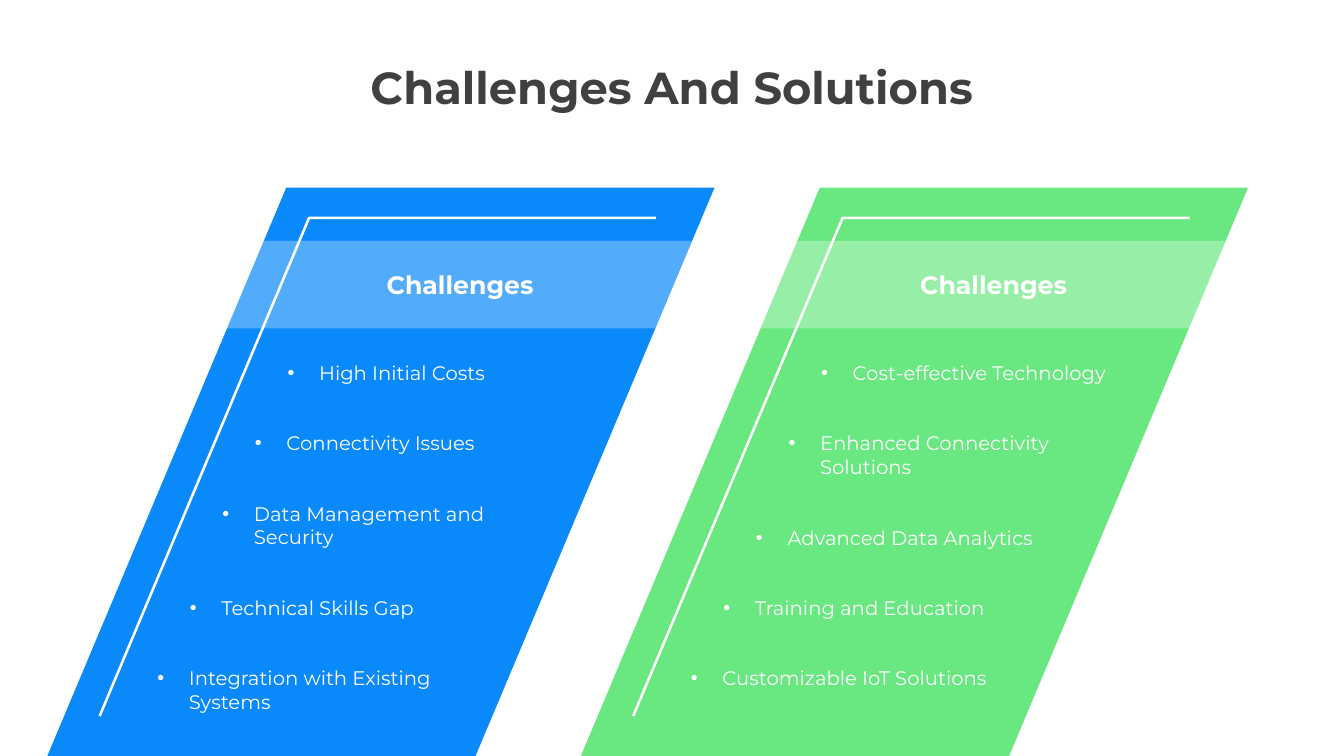
import dataclasses

import pptx
import pptx.dml.color
import pptx.enum.text
import pptx.oxml.ns
import pptx.util
from lxml import etree

Pt = pptx.util.Pt
ALIGN = pptx.enum.text.PP_ALIGN
ANCHOR = pptx.enum.text.MSO_ANCHOR


@dataclasses.dataclass(frozen=True)
class Theme:
    font: str = "Montserrat"
    title_size: float = 32
    heading_size: float = 18
    item_size: float = 14
    dark: str = "404040"
    light: str = "FFFFFF"
    blue: str = "0989FA"
    green: str = "69E781"
    band_opacity: int = 30
    outline_width: float = 1.8


THEME = Theme()
SLIDE_WIDTH, SLIDE_HEIGHT = 960, 540
PANEL_TOP, PANEL_WIDTH = 134, 476.6
LEAN = 170.7
LINE_HEIGHT, BOX_PADDING = 17.07, 7.2
ITEM_GAP, ITEM_STEP = 26, 23.25
BULLET_INDENT = 22.5

# Each item is its text and the number of lines it takes.
PANELS = [
    (33.8, THEME.blue, "Challenges", [
        ("High Initial Costs", 1),
        ("Connectivity Issues", 1),
        ("Data Management and Security", 2),
        ("Technical Skills Gap", 1),
        ("Integration with Existing Systems", 2),
    ]),
    (414.9, THEME.green, "Challenges", [
        ("Cost-effective Technology", 1),
        ("Enhanced Connectivity Solutions", 2),
        ("Advanced Data Analytics", 1),
        ("Training and Education", 1),
        ("Customizable IoT Solutions", 1),
    ]),
]


def rgb(color):
    return pptx.dml.color.RGBColor.from_string(color)


def add_bullet(paragraph):
    properties = paragraph._p.get_or_add_pPr()
    properties.set("marL", str(Pt(BULLET_INDENT)))
    properties.set("indent", str(-Pt(BULLET_INDENT)))
    font = etree.SubElement(properties, pptx.oxml.ns.qn("a:buFont"))
    font.set("typeface", "Arial")
    bullet = etree.SubElement(properties, pptx.oxml.ns.qn("a:buChar"))
    bullet.set("char", "•")


def write_text(shape, text, size, color, bold=False, align=ALIGN.LEFT,
               anchor=ANCHOR.TOP, bullet=False):
    frame = shape.text_frame
    frame.word_wrap = True
    frame.auto_size = pptx.enum.text.MSO_AUTO_SIZE.SHAPE_TO_FIT_TEXT
    frame.vertical_anchor = anchor
    paragraph = frame.paragraphs[0]
    paragraph.text = text
    paragraph.alignment = align
    paragraph.line_spacing = 1.0
    paragraph.space_before = Pt(0)
    if bullet:
        add_bullet(paragraph)
    font = paragraph.font
    font.name, font.size, font.bold = THEME.font, Pt(size), bold
    font.color.rgb = rgb(color)


def add_text(slide, left, top, width, height, text, **text_format):
    box = slide.shapes.add_textbox(Pt(left), Pt(top), Pt(width), Pt(height))
    write_text(box, text, **text_format)


def add_outline(slide, points, closed=True):
    corners = [(Pt(x), Pt(y)) for x, y in points]
    builder = slide.shapes.build_freeform(*corners[0])
    builder.add_line_segments(corners[1:], close=closed)
    shape = builder.convert_to_shape()
    shape.shadow.inherit = False
    return shape


def add_filled(slide, points, color, opacity=100):
    shape = add_outline(slide, points)
    shape.fill.solid()
    shape.fill.fore_color.rgb = rgb(color)
    shape.line.fill.background()
    if opacity < 100:
        color_node = shape.fill._xPr.find(".//" + pptx.oxml.ns.qn("a:srgbClr"))
        alpha = etree.SubElement(color_node, pptx.oxml.ns.qn("a:alpha"))
        alpha.set("val", str(opacity * 1000))


def add_title(slide, left, top, width, height, text):
    title = slide.shapes.title
    title.left, title.top = Pt(left), Pt(top)
    title.width, title.height = Pt(width), Pt(height)
    write_text(title, text, size=THEME.title_size, color=THEME.dark,
               bold=True, align=ALIGN.CENTER, anchor=ANCHOR.MIDDLE)


def add_items(slide, left, top, width, items):
    """Stack bulleted items, each one a step further left."""
    for index, (text, lines) in enumerate(items):
        height = lines * LINE_HEIGHT + BOX_PADDING
        add_text(slide, left - index * ITEM_STEP, top, width, height, text,
                 size=THEME.item_size, color=THEME.light, bullet=True)
        top += height + ITEM_GAP


def add_panel(slide, left, top, width, height, color, heading, items):
    def edge(offset):
        """Return the x of the slanted left edge at an offset below the top."""
        return left + LEAN * (1 - offset / height)

    def slanted(start, end):
        span = width - LEAN
        return [(edge(start), top + start), (edge(start) + span, top + start),
                (edge(end) + span, top + end), (edge(end), top + end)]

    band_top, band_height = 38, 62.6
    line_top, line_bottom, line_inset = 21.7, 377.5, 25.4
    add_filled(slide, slanted(0, height), color)
    accent = add_outline(slide, [
        (edge(line_bottom) + line_inset, top + line_bottom),
        (edge(line_top) + line_inset, top + line_top),
        (left + 434.8, top + line_top),
    ], closed=False)
    accent.fill.background()
    accent.line.color.rgb = rgb(THEME.light)
    accent.line.width = Pt(THEME.outline_width)
    add_filled(slide, slanted(band_top, band_top + band_height),
               THEME.light, THEME.band_opacity)
    add_text(slide, left + 185, top + 54.8, 219.6, 29.1, heading,
             size=THEME.heading_size, color=THEME.light, bold=True,
             align=ALIGN.CENTER)
    add_items(slide, left + 164.5, top + 120.2, 231, items)


def main():
    presentation = pptx.Presentation()
    presentation.slide_width = Pt(SLIDE_WIDTH)
    presentation.slide_height = Pt(SLIDE_HEIGHT)
    slide = presentation.slides.add_slide(presentation.slide_layouts[5])
    add_title(slide, 0, 39, SLIDE_WIDTH, 46, "Challenges And Solutions")
    for left, color, heading, items in PANELS:
        add_panel(slide, left, PANEL_TOP, PANEL_WIDTH,
                  SLIDE_HEIGHT - PANEL_TOP, color, heading, items)
    presentation.save("out.pptx")


if __name__ == "__main__":
    main()
